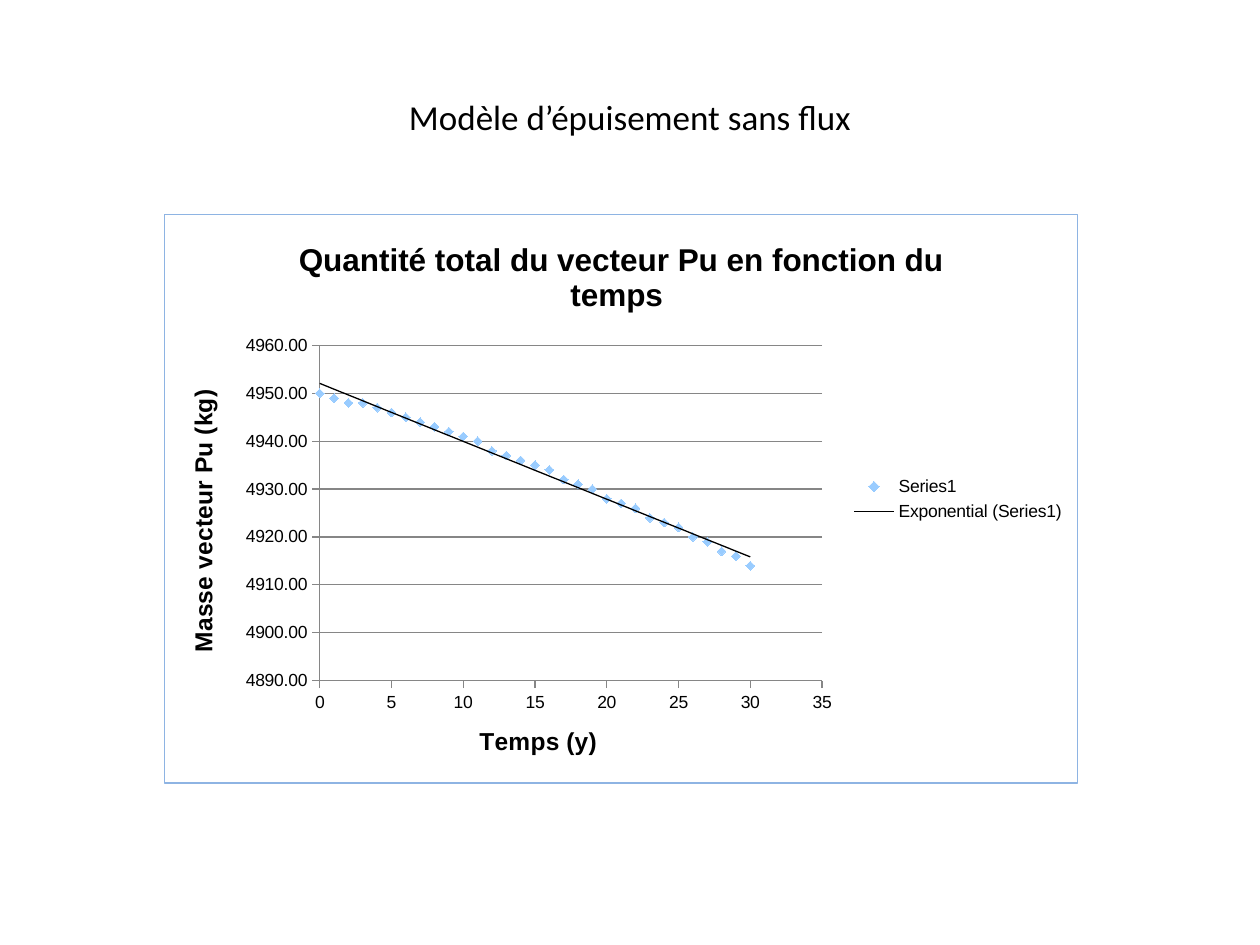
"""Build a slide with a scatter chart of plutonium mass against time."""
from lxml import etree
from pptx import Presentation
from pptx.chart.data import XyChartData
from pptx.dml.color import RGBColor
from pptx.enum.chart import XL_CHART_TYPE, XL_LEGEND_POSITION, XL_MARKER_STYLE, XL_TICK_MARK
from pptx.enum.text import MSO_ANCHOR, PP_ALIGN
from pptx.oxml import parse_xml
from pptx.oxml.ns import nsdecls, qn
from pptx.util import Inches, Pt

SCATTER = XL_CHART_TYPE.XY_SCATTER
RIGHT = XL_LEGEND_POSITION.RIGHT
DIAMOND = XL_MARKER_STYLE.DIAMOND
OUTSIDE, NO_TICK = XL_TICK_MARK.OUTSIDE, XL_TICK_MARK.NONE
MIDDLE, CENTER = MSO_ANCHOR.MIDDLE, PP_ALIGN.CENTER

COLORS = {"text": "000000", "marker": "99CCFF", "grid": "868686", "border": "8EB4E3"}
MASSES = [
    4950, 4949, 4948, 4948, 4947, 4946, 4945, 4944,
    4943, 4942, 4941, 4940, 4938, 4937, 4936, 4935,
    4934, 4932, 4931, 4930, 4928, 4927, 4926, 4924,
    4923, 4922, 4920, 4919, 4917, 4916, 4914,
]


def set_text(tf, text, size, font, bold=False):
    tf.text = text
    p = tf.paragraphs[0]
    p.alignment = CENTER
    f = p.runs[0].font
    f.size, f.name, f.bold = Pt(size), font, bold
    f.color.rgb = RGBColor.from_string(COLORS["text"])


def set_layout(parent, index, **values):
    layout = parent.find(qn("c:layout"))
    if layout is None:
        layout = etree.Element(qn("c:layout"))
        parent.insert(index, layout)
    manual = etree.SubElement(layout, qn("c:manualLayout"))
    for tag, value in values.items():
        etree.SubElement(manual, qn("c:" + tag)).set("val", str(value))


prs = Presentation()
prs.slide_width, prs.slide_height = Inches(10), Inches(7.5)
s = prs.slides.add_slide(prs.slide_layouts[6])

tf = s.shapes.add_textbox(Inches(0.5), Inches(0.3), Inches(9), Inches(1.25)).text_frame
tf.word_wrap = True
tf.vertical_anchor = MIDDLE
tf.margin_left = tf.margin_right = tf.margin_top = tf.margin_bottom = 0
set_text(tf, "Modèle d’épuisement sans flux", 20, "Calibri")

data = XyChartData()
points = data.add_series("Series1", number_format="0.00")
for year, mass in enumerate(MASSES):
    points.add_data_point(year, mass)
chart = s.shapes.add_chart(
    SCATTER, Inches(1.3), Inches(1.7), Inches(7.26), Inches(4.52), data
).chart
chart.font.size, chart.font.name = Pt(10), "Arial"
chart.font.color.rgb = RGBColor.from_string(COLORS["text"])
chart.has_title = True
set_text(chart.chart_title.text_frame,
         "Quantité total du vecteur Pu en fonction du temps ", 18, "Arial", True)
chart.has_legend = True
chart.legend.position = RIGHT
chart.legend.include_in_layout = False

axes = [
    (chart.category_axis, "Temps (y)", 0, 35, 5, "0", 0.34, 0.89),
    (chart.value_axis, "Masse vecteur Pu (kg)", 4890, 4960, 10, "0.00", 0.02, 0.3),
]
for axis, title, low, high, step, fmt, x, y in axes:
    axis.minimum_scale, axis.maximum_scale, axis.major_unit = low, high, step
    axis.major_tick_mark, axis.minor_tick_mark = OUTSIDE, NO_TICK
    axis.tick_labels.number_format = fmt
    axis.tick_labels.number_format_is_linked = False
    axis.format.line.color.rgb = RGBColor.from_string(COLORS["grid"])
    axis.format.line.width = Pt(0.75)
    set_text(axis.axis_title.text_frame, title, 14, "Arial", True)
    set_layout(axis.axis_title._element, 1, xMode="edge", yMode="edge", x=x, y=y)

chart.category_axis.has_major_gridlines = False
chart.value_axis.has_major_gridlines = True
grid = chart.value_axis.major_gridlines.format.line
grid.color.rgb = RGBColor.from_string(COLORS["grid"])
grid.width = Pt(0.75)

plot = chart.plots[0]
plot.vary_by_categories = False
series = plot.series[0]
series.format.line.fill.background()
series.marker.style, series.marker.size = DIAMOND, 5
series.marker.format.fill.solid()
series.marker.format.fill.fore_color.rgb = RGBColor.from_string(COLORS["marker"])
series.marker.format.line.fill.background()
series._element.find(qn("c:xVal")).addprevious(parse_xml(
    f'<c:trendline {nsdecls("c", "a")}><c:spPr><a:ln w="9525"><a:solidFill>'
    f'<a:srgbClr val="{COLORS["text"]}"/></a:solidFill></a:ln></c:spPr>'
    '<c:trendlineType val="exp"/><c:dispRSqr val="0"/><c:dispEq val="0"/></c:trendline>'
))

space = chart._chartSpace
set_layout(space.find(".//" + qn("c:plotArea")), 0, layoutTarget="inner",
           xMode="edge", yMode="edge", x=0.17, y=0.23, w=0.55, h=0.59)
space.find(qn("c:txPr")).addprevious(parse_xml(
    f'<c:spPr {nsdecls("c", "a")}><a:noFill/><a:ln w="9525"><a:solidFill>'
    f'<a:srgbClr val="{COLORS["border"]}"/></a:solidFill></a:ln></c:spPr>'
))

prs.save("out.pptx")
